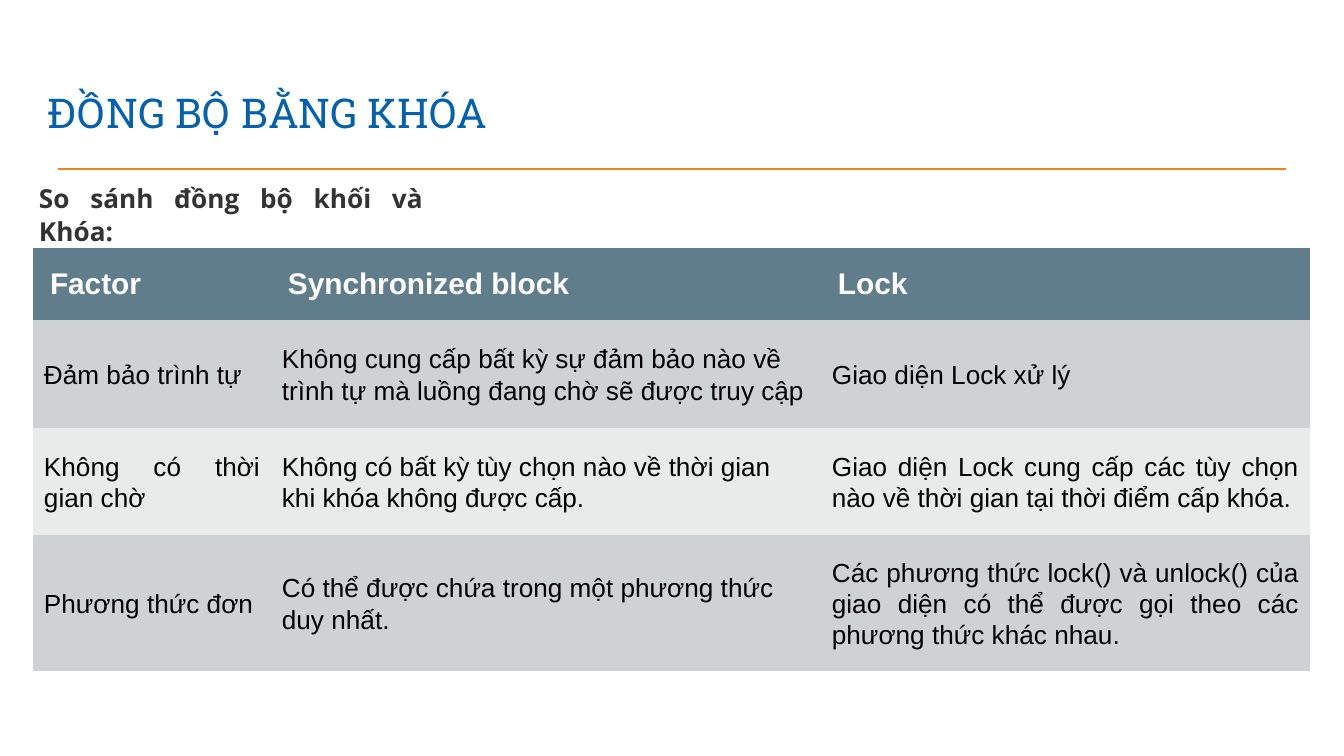
from dataclasses import dataclass

from lxml import etree
from pptx import Presentation
from pptx.dml.color import RGBColor
from pptx.enum.shapes import MSO_CONNECTOR
from pptx.enum.text import MSO_ANCHOR, PP_ALIGN
from pptx.oxml.ns import qn
from pptx.util import Pt

EMU_PER_PX = 914400 / 134.4
NO_STYLE = "{2D5ABB26-0587-4C30-8999-92F81FD0307C}"
LEFT, JUSTIFY = PP_ALIGN.LEFT, PP_ALIGN.JUSTIFY


@dataclass(frozen=True)
class TextStyle:
    """Font and paragraph settings for one kind of text."""
    size: int
    color: str
    font: str = "Arial"
    bold: bool = False
    align: PP_ALIGN = LEFT
    line_spacing: float = 1.07
    space_after: int = 0


@dataclass(frozen=True)
class CellStyle:
    """Margin and anchor shared by the cells of a row."""
    margin: int
    anchor: MSO_ANCHOR


TITLE = TextStyle(22, "0361AE", "Roboto Slab", line_spacing=1.0)
SUBTITLE = TextStyle(14, "333333", "Open Sans", True, JUSTIFY, space_after=8)
HEADER = TextStyle(16, "FFFFFF", bold=True)
BODY = TextStyle(14, "000000", align=JUSTIFY)
BODY_LEFT = TextStyle(14, "000000", space_after=8)
HEADER_CELL = CellStyle(17, MSO_ANCHOR.TOP)
BODY_CELL = CellStyle(11, MSO_ANCHOR.MIDDLE)

COLUMN_WIDTHS = (238, 550, 489)
ROW_HEIGHTS = (72, 108, 107, 136)
ROW_FILLS = ("607D8B", "CFD2D3", "E9EAEA", "CFD2D3")
ROWS = (
    ("Factor", "Synchronized block", "Lock"),
    ("Đảm bảo trình tự",
     "Không cung cấp bất kỳ sự đảm bảo nào về trình tự mà luồng đang chờ sẽ được truy cập",
     "Giao diện Lock xử lý"),
    ("Không có thời gian chờ",
     "Không có bất kỳ tùy chọn nào về thời gian khi khóa không được cấp.",
     "Giao diện Lock cung cấp các tùy chọn nào về thời gian tại thời điểm cấp khóa."),
    ("Phương thức đơn",
     "Có thể được chứa trong một phương thức duy nhất.",
     "Các phương thức lock() và unlock() của giao diện có thể được gọi theo các "
     "phương thức khác nhau."),
)


def px(length: int) -> int:
    """Turn pixels into EMU."""
    return round(length * EMU_PER_PX)


def rgb(color: str) -> RGBColor:
    """Turn a hex string into a colour."""
    return RGBColor.from_string(color)


def write(frame, text: str, style: TextStyle) -> None:
    """Write one styled paragraph into a text frame."""
    paragraph = frame.paragraphs[0]
    paragraph.alignment = style.align
    paragraph.line_spacing = style.line_spacing
    paragraph.space_after = Pt(style.space_after)
    run = paragraph.add_run()
    run.text = text
    run.font.size = Pt(style.size)
    run.font.name = style.font
    run.font.bold = style.bold
    run.font.color.rgb = rgb(style.color)


def add_text(slide, box: tuple[int, int, int, int], text: str, style: TextStyle,
             anchor: MSO_ANCHOR = MSO_ANCHOR.TOP, inset: int = 7) -> None:
    """Add a wrapping text box."""
    frame = slide.shapes.add_textbox(*map(px, box)).text_frame
    frame.word_wrap = True
    frame.vertical_anchor = anchor
    frame.margin_left = frame.margin_right = px(13)
    frame.margin_top = frame.margin_bottom = px(inset)
    write(frame, text, style)


def add_rule(slide, left: int, right: int, y: int) -> None:
    """Add the horizontal line below the title."""
    rule = slide.shapes.add_connector(
        MSO_CONNECTOR.STRAIGHT, px(left), px(y), px(right), px(y))
    rule.line.color.rgb = rgb("F48121")
    rule.line.width = Pt(1.5)
    etree.SubElement(rule._element.spPr, qn("a:effectLst"))


def fill_cell(cell, text: str, style: TextStyle, layout: CellStyle, fill: str) -> None:
    """Style one table cell and write its text."""
    cell.fill.solid()
    cell.fill.fore_color.rgb = rgb(fill)
    cell.vertical_anchor = layout.anchor
    cell.margin_left = cell.margin_right = px(layout.margin)
    cell.margin_top = cell.margin_bottom = px(layout.margin)
    write(cell.text_frame, text, style)


def add_comparison(slide, left: int, top: int) -> None:
    """Add the table that compares both ways of locking."""
    table = slide.shapes.add_table(
        len(ROWS), len(COLUMN_WIDTHS), px(left), px(top),
        px(sum(COLUMN_WIDTHS)), px(sum(ROW_HEIGHTS))).table
    table.horz_banding = False
    table._tbl.tblPr.find(qn("a:tableStyleId")).text = NO_STYLE
    for column, width in zip(table.columns, COLUMN_WIDTHS):
        column.width = px(width)
    for r, (texts, height, fill) in enumerate(zip(ROWS, ROW_HEIGHTS, ROW_FILLS)):
        table.rows[r].height = px(height)
        styles = (BODY, BODY_LEFT, BODY) if r else (HEADER,) * 3
        layout = BODY_CELL if r else HEADER_CELL
        for c, (text, style) in enumerate(zip(texts, styles)):
            fill_cell(table.cell(r, c), text, style, layout, fill)


def main() -> None:
    """Build and save the slide."""
    deck = Presentation()
    deck.slide_width, deck.slide_height = px(1344), px(756)
    slide = deck.slides.add_slide(deck.slide_layouts[6])
    add_rule(slide, 58, 1286, 169)
    add_text(slide, (35, 66, 1253, 84), "ĐỒNG BỘ BẰNG KHÓA", TITLE,
             MSO_ANCHOR.BOTTOM, 13)
    add_text(slide, (26, 173, 410, 47), "So sánh đồng bộ khối và Khóa:", SUBTITLE)
    add_comparison(slide, 33, 248)
    deck.save("out.pptx")


main()
